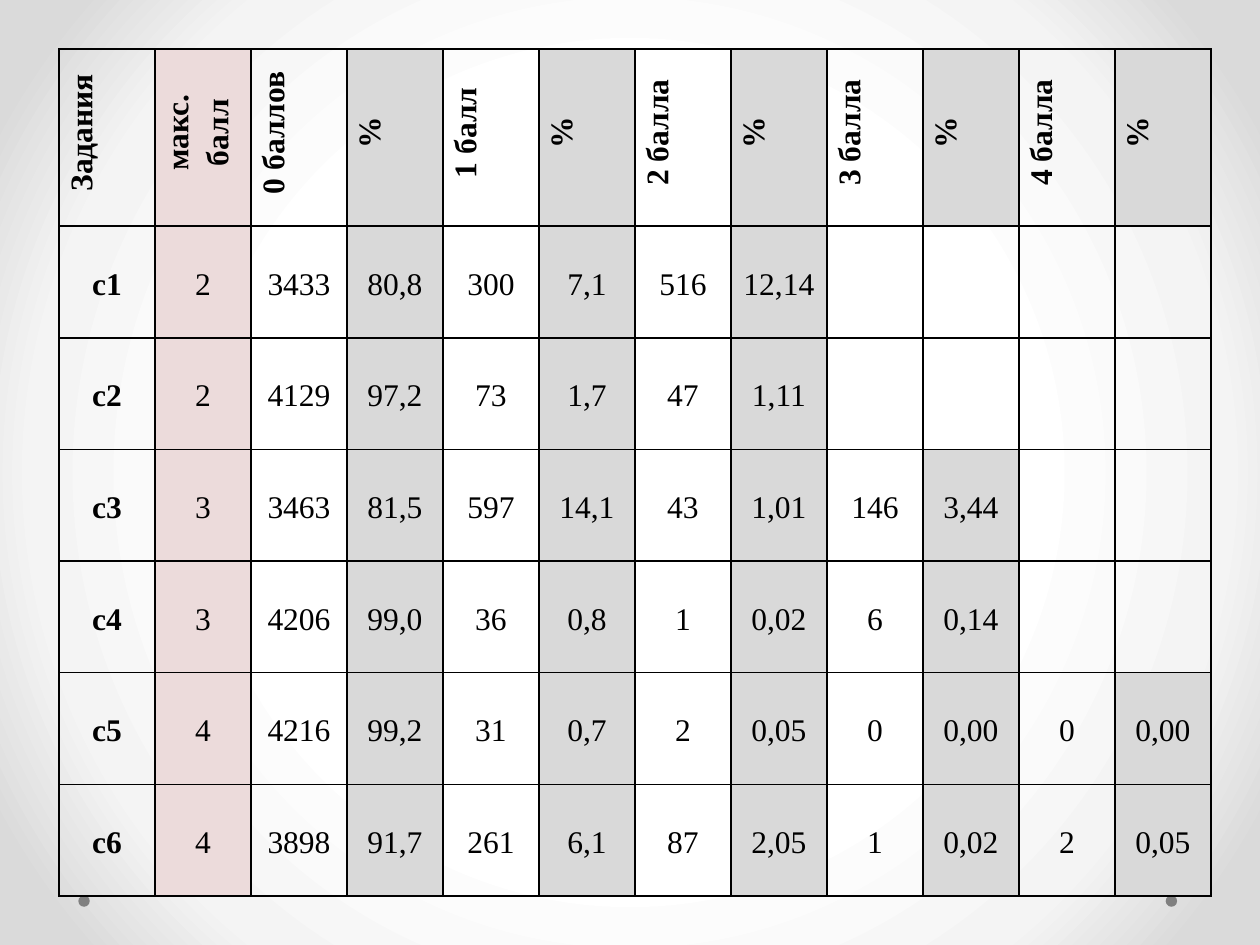
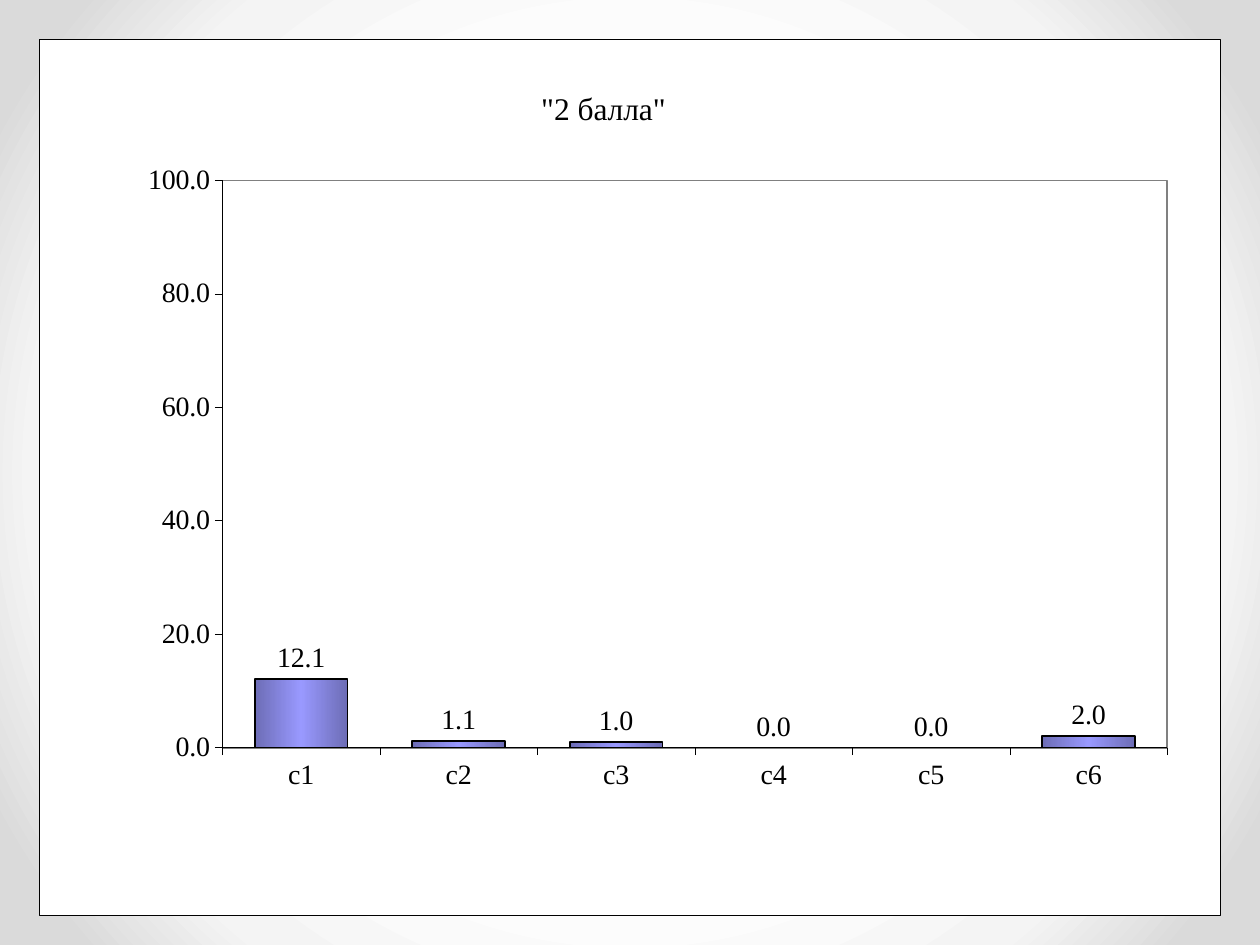
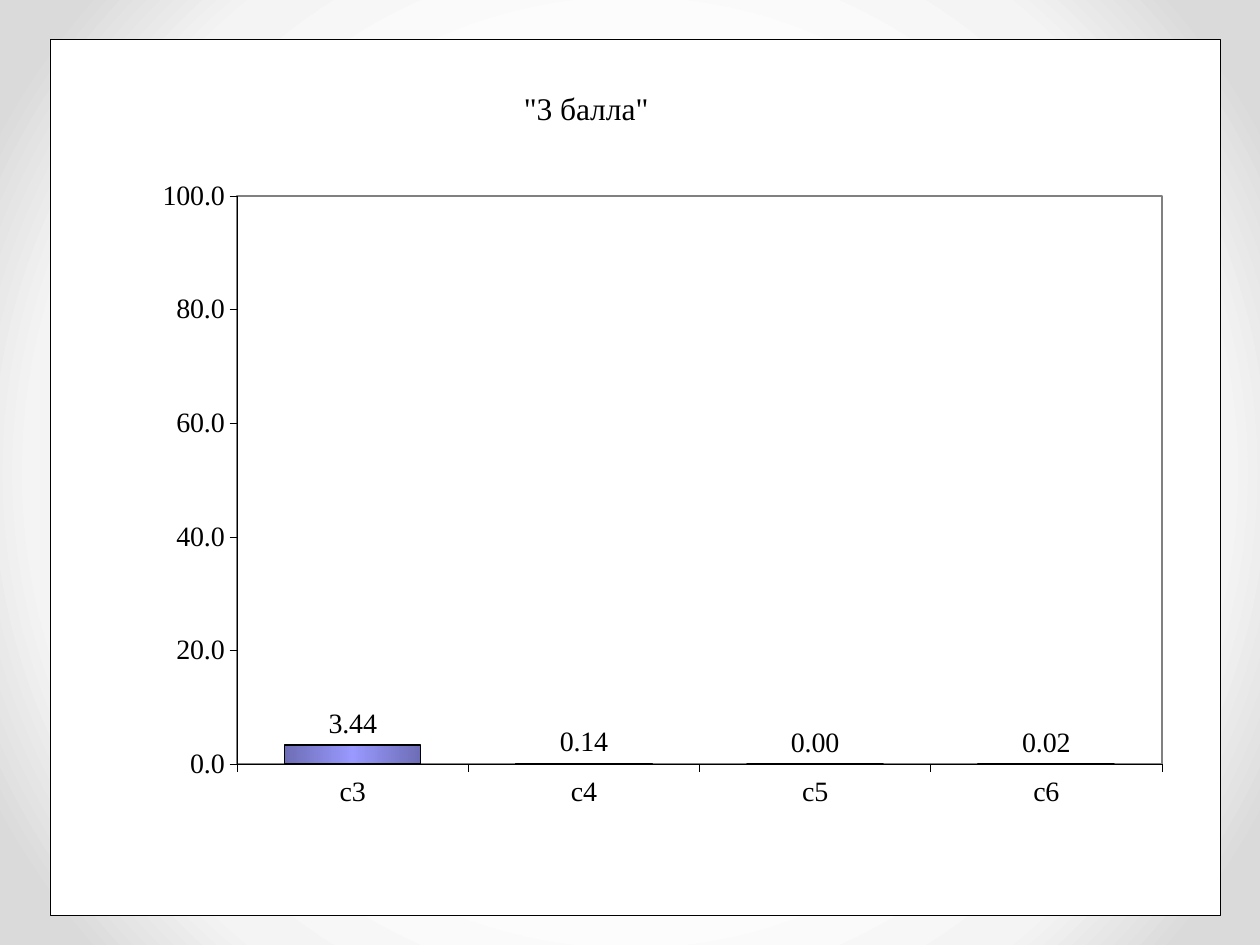
from pptx import Presentation
from pptx.chart.data import CategoryChartData
from pptx.dml.color import RGBColor
from pptx.enum.chart import XL_CHART_TYPE, XL_LABEL_POSITION, XL_TICK_MARK
from pptx.enum.shapes import MSO_SHAPE
from pptx.enum.text import MSO_ANCHOR, PP_ALIGN
from pptx.oxml import parse_xml
from pptx.oxml.ns import nsdecls, qn
from pptx.util import Cm, Pt

COLUMN_CLUSTERED = XL_CHART_TYPE.COLUMN_CLUSTERED
OUTSIDE_END = XL_LABEL_POSITION.OUTSIDE_END
TICK_OUTSIDE, TICK_NONE = XL_TICK_MARK.OUTSIDE, XL_TICK_MARK.NONE
ELLIPSE = MSO_SHAPE.OVAL
MIDDLE = MSO_ANCHOR.MIDDLE
CENTER = PP_ALIGN.CENTER

BLACK = RGBColor(0x00, 0x00, 0x00)
WHITE = RGBColor(0xFF, 0xFF, 0xFF)
PALE_GRAY = RGBColor(0xF4, 0xF4, 0xF4)
EDGE_GRAY = RGBColor(0xDA, 0xDA, 0xDA)
DOT_GRAY = RGBColor(0x80, 0x80, 0x80)
PERCENT_GRAY = RGBColor(0xD9, 0xD9, 0xD9)
MAXIMUM_PINK = RGBColor(0xEC, 0xDB, 0xDB)
BAR_BLUE = RGBColor(0x99, 0x99, 0xFF)

SERIF, SANS = "Times New Roman", "Arial"
RADIAL = '<a:path path="circle"><a:fillToRect l="50000" t="50000" r="50000" b="50000"/></a:path>'
LEFT_TO_RIGHT = '<a:lin ang="0" scaled="1"/>'
BAR_EDGE_SHADE = '<a:shade val="46275"/>'

HEADERS = ["Задания", "макс.\nбалл", "0 баллов", "%", "1 балл", "%",
           "2 балла", "%", "3 балла", "%", "4 балла", "%"]
RESULTS = [
    ["с1", "2", "3433", "80,8", "300", "7,1", "516", "12,14"],
    ["с2", "2", "4129", "97,2", "73", "1,7", "47", "1,11"],
    ["с3", "3", "3463", "81,5", "597", "14,1", "43", "1,01", "146", "3,44"],
    ["с4", "3", "4206", "99,0", "36", "0,8", "1", "0,02", "6", "0,14"],
    ["с5", "4", "4216", "99,2", "31", "0,7", "2", "0,05", "0", "0,00", "0", "0,00"],
    ["c6", "4", "3898", "91,7", "261", "6,1", "87", "2,05", "1", "0,02", "2", "0,05"],
]
TASKS = [row[0] for row in RESULTS]


def set_gradient(fill, owner, stops, direction):
    """Give a fill gradient stops of (percent, colour, colour change)."""
    fill.gradient()
    gradient = owner.find(".//" + qn("a:gradFill"))
    stop_list = "".join(
        f'<a:gs pos="{percent * 1000}"><a:srgbClr val="{color}">{change}</a:srgbClr></a:gs>'
        for percent, color, change in stops)
    gradient.getparent().replace(gradient, parse_xml(
        f'<a:gradFill {nsdecls("a")} rotWithShape="1"><a:gsLst>{stop_list}</a:gsLst>'
        f'{direction}</a:gradFill>'))


def set_font(font, size, name=SERIF, bold=False):
    """Set a black font."""
    font.name, font.size, font.bold = name, Pt(size), bold
    font.color.rgb = BLACK


def build_master(master, slide):
    """Put the radial background and the two dots on the master."""
    set_gradient(master.background.fill, master.element,
                 [(50, WHITE, ""), (76, PALE_GRAY, ""), (92, EDGE_GRAY, "")], RADIAL)
    for left in (23.5, 1.58):
        dot = slide.shapes.add_shape(ELLIPSE, Cm(left), Cm(18.05), Cm(0.23), Cm(0.23))
        dot.shadow.inherit = False
        dot.fill.solid()
        dot.fill.fore_color.rgb = DOT_GRAY
        dot.line.fill.background()
        master.shapes.element.append(dot.element)


def fill_cell(cell, text, color, bold, vertical):
    """Write one table cell with its fill and borders."""
    cell.text = text
    cell.vertical_anchor = MIDDLE
    cell.margin_left = cell.margin_right = Cm(0.18)
    cell.margin_top = cell.margin_bottom = 0
    for paragraph in cell.text_frame.paragraphs:
        paragraph.alignment = CENTER
        paragraph.line_spacing = 1.15
        set_font(paragraph.font, 18, bold=bold)
        if vertical:
            paragraph._p.get_or_add_pPr().set("marL", str(Cm(0.2)))
    if color is None:
        cell.fill.background()
    else:
        cell.fill.solid()
        cell.fill.fore_color.rgb = color
    properties = cell._tc.get_or_add_tcPr()
    if vertical:
        properties.set("vert", "vert270")
    for index, side in enumerate(("lnL", "lnR", "lnT", "lnB")):
        properties.insert(index, parse_xml(
            f'<a:{side} {nsdecls("a")} w="{Pt(1)}"><a:solidFill><a:srgbClr val="{BLACK}"/>'
            f'</a:solidFill></a:{side}>'))


def add_results_table(slide, left, top, width, height, header_height):
    """Draw the table of points per task in the given box."""
    rows = [HEADERS] + RESULTS
    table = slide.shapes.add_table(len(rows), len(HEADERS), left, top, width, height).table
    table.first_row = table.horz_banding = False
    for column in table.columns:
        column.width = width // len(HEADERS)
    for row_index, texts in enumerate(rows):
        is_header = row_index == 0
        table.rows[row_index].height = (
            header_height if is_header else (height - header_height) // len(RESULTS))
        for column_index in range(len(HEADERS)):
            text = texts[column_index] if column_index < len(texts) else ""
            color = None
            if column_index == 1:
                color = MAXIMUM_PINK
            elif column_index % 2 and text:
                color = PERCENT_GRAY
            fill_cell(table.cell(row_index, column_index), text, color,
                      is_header or column_index == 0, is_header)


def set_layout(parent, target, **fractions):
    """Place a chart part by fractions of the chart box."""
    old = parent.find(qn("c:layout"))
    if old is not None:
        parent.remove(old)
    values = "".join(f'<c:{key} val="{value}"/>' for key, value in fractions.items())
    layout = parse_xml(
        f'<c:layout {nsdecls("c")}><c:manualLayout>{target}<c:xMode val="edge"/>'
        f'<c:yMode val="edge"/>{values}</c:manualLayout></c:layout>')
    text = parent.find(qn("c:tx"))
    parent.insert(0 if text is None else 1, layout)


def frame_xml(fill, line_color, line_width):
    """Return the shape properties of a chart frame."""
    return parse_xml(
        f'<c:spPr {nsdecls("c", "a")}>{fill}<a:ln w="{Pt(line_width)}"><a:solidFill>'
        f'<a:srgbClr val="{line_color}"/></a:solidFill></a:ln></c:spPr>')


def style_axis(axis):
    """Give an axis thin black lines, outer ticks and serif labels."""
    axis.has_major_gridlines = False
    axis.major_tick_mark, axis.minor_tick_mark = TICK_OUTSIDE, TICK_NONE
    axis.format.line.color.rgb = BLACK
    axis.format.line.width = Pt(0.25)
    set_font(axis.tick_labels.font, 16)


def add_score_chart(slide, left, top, width, height, title, tasks, values,
                    label_format, title_left, plot_box):
    """Draw a column chart of percentages per task in the given box."""
    data = CategoryChartData()
    data.categories = tasks
    data.add_series("Series 1", values)
    chart = slide.shapes.add_chart(COLUMN_CLUSTERED, left, top, width, height, data).chart
    set_font(chart.font, 10, SANS)
    chart.has_legend = False

    chart.chart_title.text_frame.text = title
    set_font(chart.chart_title.text_frame.paragraphs[0].font, 18)
    set_layout(chart.chart_title._element, "", x=title_left, y=0.05)

    style_axis(chart.category_axis)
    value_axis = chart.value_axis
    style_axis(value_axis)
    value_axis.minimum_scale, value_axis.maximum_scale = 0, 100
    value_axis.major_unit = 20
    value_axis.tick_labels.number_format = "0.0"
    value_axis.tick_labels.number_format_is_linked = False

    plot = chart.plots[0]
    plot.gap_width = 70
    plot.vary_by_categories = False
    series = plot.series[0]
    set_gradient(series.format.fill, series._element,
                 [(0, BAR_BLUE, BAR_EDGE_SHADE), (50, BAR_BLUE, ""),
                  (100, BAR_BLUE, BAR_EDGE_SHADE)], LEFT_TO_RIGHT)
    series.format.line.color.rgb = BLACK
    series.format.line.width = Pt(1)
    labels = series.data_labels
    labels.show_value = True
    labels.position = OUTSIDE_END
    labels.number_format, labels.number_format_is_linked = label_format, False
    set_font(labels.font, 16)

    chart_element = chart._chartSpace.find(qn("c:chart"))
    plot_area = chart_element.find(qn("c:plotArea"))
    set_layout(plot_area, '<c:layoutTarget val="inner"/>', **dict(zip("xywh", plot_box)))
    plot_area.append(frame_xml("<a:noFill/>", DOT_GRAY, 1))
    white_fill = f'<a:solidFill><a:srgbClr val="{WHITE}"/></a:solidFill>'
    chart_element.addnext(frame_xml(white_fill, BLACK, 0.25))


def main():
    """Build and save the three slides."""
    presentation = Presentation()
    presentation.slide_width, presentation.slide_height = Cm(25.4), Cm(19.05)
    blank = presentation.slide_layouts[6]
    table_slide, two_points, three_points = (
        presentation.slides.add_slide(blank) for _ in range(3))
    build_master(presentation.slide_master, table_slide)
    add_results_table(table_slide, Cm(1.19), Cm(0.99), Cm(23.22), Cm(17.07), Cm(3.57))
    add_score_chart(two_points, Cm(0.79), Cm(0.79), Cm(23.82), Cm(17.66), '"2 балла"',
                    TASKS, [12.1, 1.1, 1, 0, 0, 2], "0.0", 0.42, (0.155, 0.161, 0.8, 0.648))
    add_score_chart(three_points, Cm(1), Cm(0.79), Cm(23.61), Cm(17.66), '"3 балла"',
                    TASKS[2:], [3.44, 0.14, 0, 0.02], "0.00", 0.4, (0.16, 0.179, 0.79, 0.649))
    presentation.save("out.pptx")


main()
